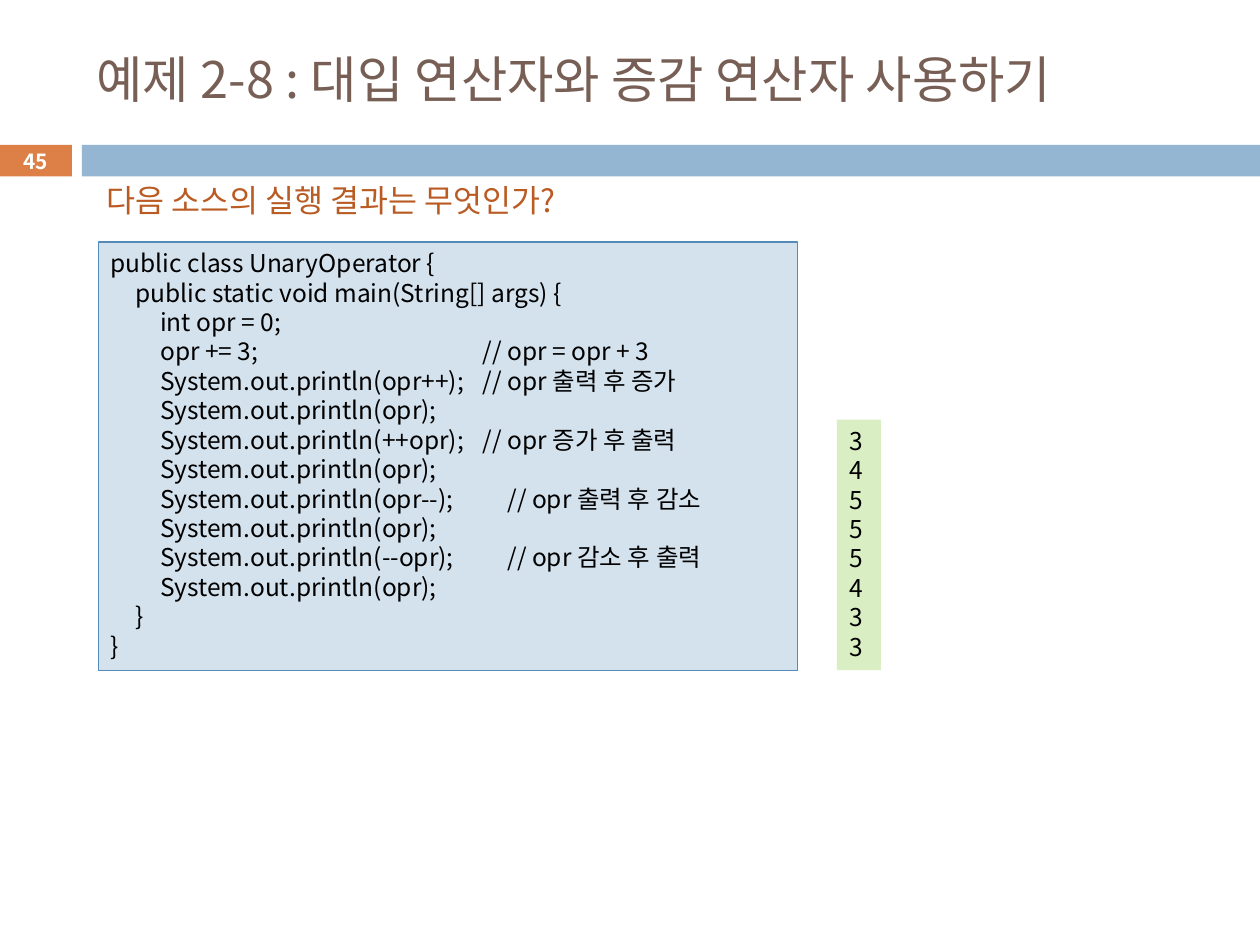
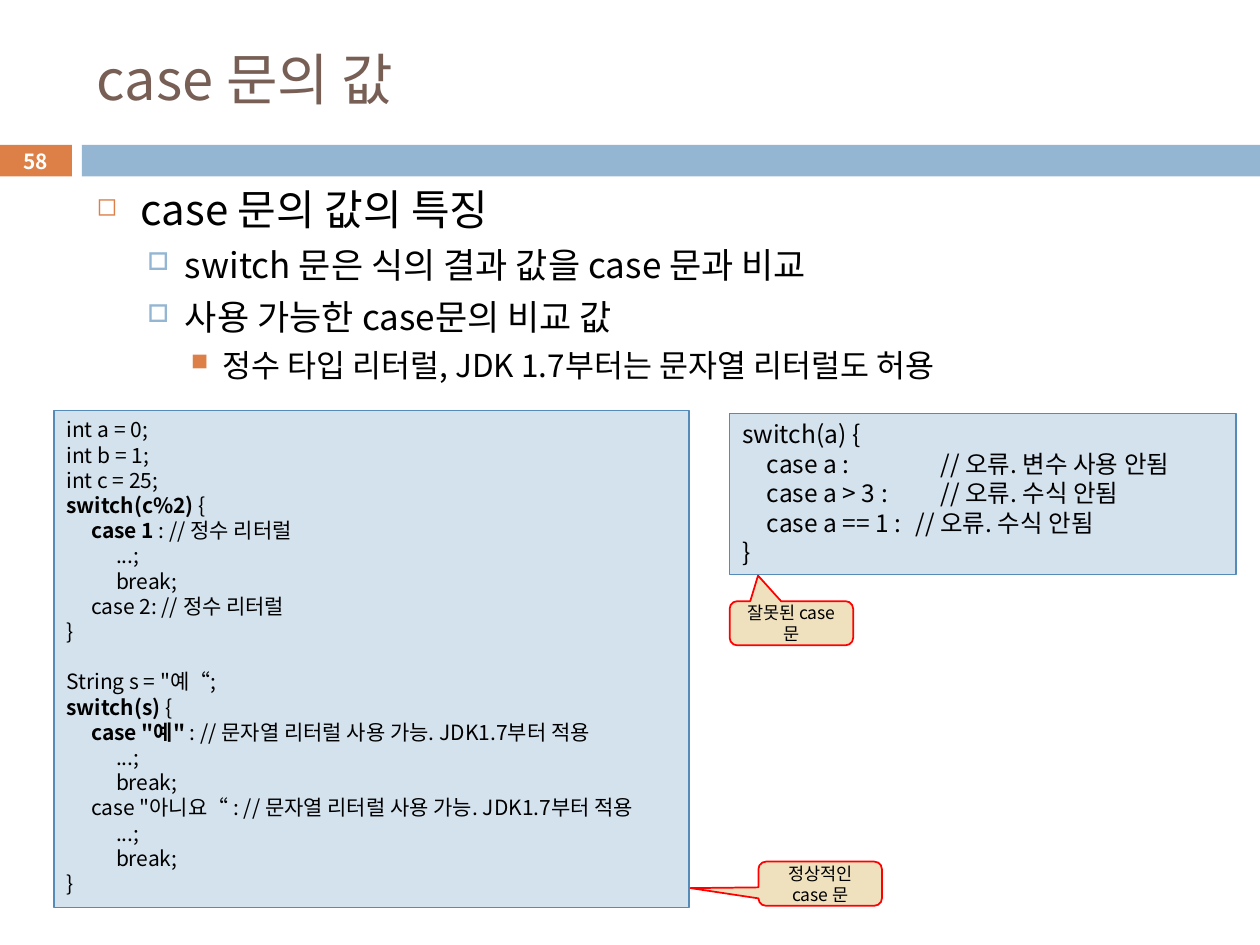
"""Build two Java lesson slides: increment operators and case values."""
from dataclasses import dataclass

from lxml import etree
from pptx import Presentation
from pptx.dml.color import RGBColor
from pptx.enum.shapes import MSO_SHAPE
from pptx.enum.text import MSO_ANCHOR, PP_ALIGN
from pptx.oxml.ns import qn
from pptx.util import Cm, Pt

RECTANGLE = MSO_SHAPE.RECTANGLE
CALLOUT = MSO_SHAPE.ROUNDED_RECTANGULAR_CALLOUT
TOP, MIDDLE = MSO_ANCHOR.TOP, MSO_ANCHOR.MIDDLE
LEFT, CENTER = PP_ALIGN.LEFT, PP_ALIGN.CENTER


@dataclass(frozen=True)
class Theme:
    font: str = "Noto Sans CJK KR"
    orange: str = "DD8047"
    blue: str = "94B6D2"
    brown: str = "775F55"
    rust: str = "B95B22"
    black: str = "000000"
    white: str = "FFFFFF"
    code_fill: str = "D4E2ED"
    code_line: str = "558BB8"
    output_fill: str = "DAEEC4"
    callout_fill: str = "EFE0BE"
    callout_line: str = "FF0000"
    number_size: float = 11.9
    question_size: float = 18
    code_size: float = 14
    small_code_size: float = 12
    callout_size: float = 10
    leading: float = 1.2
    tab_width: float = 0.5
    tab_count: int = 16


THEME = Theme()


def add_box(page, place, fill=None, line=None, line_width=0.75, kind=RECTANGLE):
    lengths = [Cm(value) for value in place]
    if fill is None:
        box = page.shapes.add_textbox(*lengths)
    else:
        box = page.shapes.add_shape(kind, *lengths)
        box.shadow.inherit = False
        box.fill.solid()
        box.fill.fore_color.rgb = RGBColor.from_string(fill)
        if line:
            box.line.color.rgb = RGBColor.from_string(line)
            box.line.width = Pt(line_width)
        else:
            box.line.fill.background()
    box.text_frame.word_wrap = True
    return box


def write(box, lines, size, color=THEME.black, anchor=TOP, align=LEFT, bold=None, bullets=None):
    frame = box.text_frame
    frame.vertical_anchor = anchor
    gap = 0
    para = None
    for index, line in enumerate(lines):
        if not line:
            gap = size * THEME.leading
            continue
        para = frame.add_paragraph() if para else frame.paragraphs[0]
        para.alignment = align
        properties = para._p.get_or_add_pPr()
        if bullets:
            margin, hanging, gap, mark, mark_color, percent, size = bullets[index]
            properties.set("marL", str(Cm(margin)))
            properties.set("indent", str(-Cm(hanging)))
            mark_fill = etree.SubElement(properties, qn("a:buClr"))
            etree.SubElement(mark_fill, qn("a:srgbClr"), val=mark_color)
            etree.SubElement(properties, qn("a:buSzPct"), val=str(percent * 1000))
            etree.SubElement(properties, qn("a:buChar"), char=mark)
        if "\t" in line:
            stops = etree.SubElement(properties, qn("a:tabLst"))
            for step in range(1, THEME.tab_count + 1):
                etree.SubElement(stops, qn("a:tab"), pos=str(Cm(step * THEME.tab_width)), algn="l")
        para.line_spacing = Pt(size * THEME.leading)
        if gap:
            para.space_before = Pt(gap)
            gap = 0
        para.font.name = THEME.font
        para.font.size = Pt(size)
        para.font.bold = bold
        para.font.color.rgb = RGBColor.from_string(color)
        etree.SubElement(properties.find(qn("a:defRPr")), qn("a:ea"), typeface=THEME.font)
        for position, part in enumerate(line.split("**")):
            if part:
                span = para.add_run()
                span.text = part
                if position % 2:
                    span.font.bold = True


deck = Presentation()
deck.slide_width, deck.slide_height = Cm(25.4), Cm(19.05)

headings = [
    ("예제 2-8 : 대입 연산자와 증감 연산자 사용하기", 28.8, "45"),
    ("case 문의 값", 32, "58"),
]
pages = []
for title, title_size, number in headings:
    page = deck.slides.add_slide(deck.slide_layouts[6])
    number_box = add_box(page, (0, 2.92, 1.45, 0.64), THEME.orange)
    write(number_box, [number], THEME.number_size, THEME.white, MIDDLE, CENTER, True)
    add_box(page, (1.65, 2.92, 23.75, 0.64), THEME.blue)
    title_box = add_box(page, (1.7, 0.64, 22.66, 1.88))
    write(title_box, [title], title_size, THEME.brown, MIDDLE)
    pages.append(page)
operator_page, case_page = pages

question = add_box(operator_page, (1.9, 3.53, 10.62, 1.02))
write(question, ["다음 소스의 실행 결과는 무엇인가?"], THEME.question_size, THEME.rust)

outputs = add_box(operator_page, (16.87, 8.46, 0.89, 5.05), THEME.output_fill)
write(outputs, "34555433", THEME.code_size)

operator_code = [
    "public class UnaryOperator {",
    "\tpublic static void main(String[] args) {",
    "\t\tint opr = 0;",
    "\t\topr += 3; \t\t\t\t\t\t\t\t\t// opr = opr + 3",
    "\t\tSystem.out.println(opr++); \t// opr 출력 후 증가",
    "\t\tSystem.out.println(opr);",
    "\t\tSystem.out.println(++opr); \t// opr 증가 후 출력",
    "\t\tSystem.out.println(opr);",
    "\t\tSystem.out.println(opr--); \t\t// opr 출력 후 감소",
    "\t\tSystem.out.println(opr);",
    "\t\tSystem.out.println(--opr); \t\t// opr 감소 후 출력",
    "\t\tSystem.out.println(opr);",
    "\t}",
    "}",
]
valid_code = [
    "int a = 0;",
    "int b = 1;",
    "int c = 25;",
    "**switch(c%2) **{",
    "\t**case 1 **: // 정수 리터럴",
    "\t\t...;",
    "\t\tbreak;",
    "\tcase 2: // 정수 리터럴",
    "}",
    "",
    'String s = "예“;',
    "**switch(s) **{",
    '\t**case "예" **: // 문자열 리터럴 사용 가능. JDK1.7부터 적용',
    "\t\t...;",
    "\t\tbreak;",
    '\tcase "아니요“ : // 문자열 리터럴 사용 가능. JDK1.7부터 적용',
    "\t\t...;",
    "\t\tbreak;",
    "}",
]
invalid_code = [
    "switch(a) {",
    "\tcase a : \t\t\t\t// 오류. 변수 사용 안됨",
    "\tcase a > 3 : \t\t// 오류. 수식 안됨",
    "\tcase a == 1 : \t// 오류. 수식 안됨",
    "}",
]
listings = [
    (operator_page, (1.98, 4.88, 14.1, 8.64), operator_code, THEME.code_size),
    (case_page, (1.09, 8.28, 12.8, 10.01), valid_code, THEME.small_code_size),
    (case_page, (14.71, 8.33, 10.21, 3.25), invalid_code, THEME.code_size),
]
for page, place, code, size in listings:
    write(add_box(page, place, THEME.code_fill, THEME.code_line), code, size)

features = [
    "case 문의 값의 특징",
    "switch 문은 식의 결과 값을 case 문과 비교",
    "사용 가능한 case문의 비교 값",
    "정수 타입 리터럴, JDK 1.7부터는 문자열 리터럴도 허용",
]
top_level = (0.89, 0.89, 0, "◻", THEME.orange, 60, 24)
second_level = (1.78, 0.76, 5.5, "□", THEME.blue, 70, 20)
third_level = (2.54, 0.64, 5, "■", THEME.orange, 75, 18)
feature_box = add_box(case_page, (1.7, 3.58, 22.66, 4.95))
write(feature_box, features, 24, bullets=[top_level, second_level, second_level, third_level])

callouts = [
    ("정상적인 case 문", 15.29, 17.37, (-1.05, 0.1, 0.17)),
    ("잘못된 case 문", 14.71, 12.12, (-0.27, -1.08, 0.17)),
]
for label, left, top, pointer in callouts:
    place = (left, top, 2.49, 0.89)
    callout = add_box(case_page, place, THEME.callout_fill, THEME.callout_line, 1, CALLOUT)
    for index, value in enumerate(pointer):
        callout.adjustments[index] = value
    callout.text_frame.margin_top = callout.text_frame.margin_bottom = 0
    write(callout, [label], THEME.callout_size, anchor=MIDDLE, align=CENTER)

deck.save("out.pptx")
